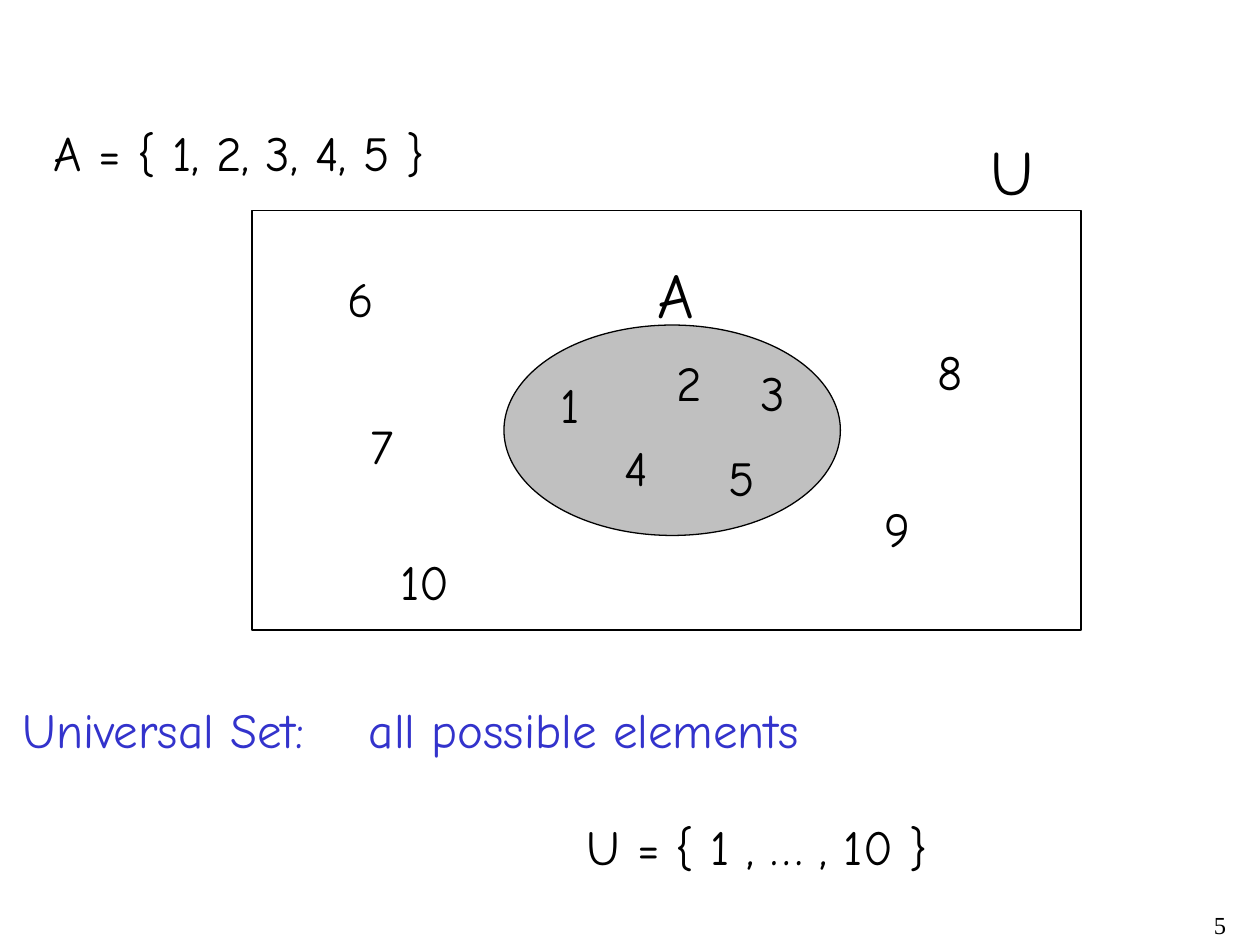
from lxml import etree
from pptx import Presentation
from pptx.dml.color import RGBColor
from pptx.enum.shapes import MSO_SHAPE
from pptx.enum.text import PP_ALIGN
from pptx.oxml.ns import qn
from pptx.util import Inches, Pt

RECT, OVAL = MSO_SHAPE.RECTANGLE, MSO_SHAPE.OVAL
LEFT, RIGHT = PP_ALIGN.LEFT, PP_ALIGN.RIGHT
BLACK = RGBColor(0x00, 0x00, 0x00)
BLUE = RGBColor(0x33, 0x33, 0xCC)
GRAY = RGBColor(0xC0, 0xC0, 0xC0)
FONT, NUMBER_FONT = "Comic Neue", "Times New Roman"

# Elements of the diagram: text, left, top, width
MEMBERS = [
    ("1", 4.35, 2.92, 0.35),
    ("2", 5.27, 2.75, 0.40),
    ("3", 5.94, 2.83, 0.39),
    ("4", 4.86, 3.42, 0.39),
    ("5", 5.68, 3.50, 0.41),
]
OUTSIDERS = [
    ("6", 2.66, 2.08, 0.41),
    ("7", 2.84, 3.25, 0.38),
    ("8", 7.34, 2.66, 0.40),
    ("9", 6.92, 3.91, 0.40),
    ("10", 3.08, 4.33, 0.59),
]
SET_NAMES = [("A", 5.12, 1.98, 0.49), ("U", 7.76, 1.00, 0.54)]


def format_paragraph(p, size=28, color=BLACK, font=FONT, align=LEFT):
    p.alignment = align
    for r in p.runs:
        r.font.name = font
        r.font.size = Pt(size)
        r.font.color.rgb = color


def add_text(s, text, left, top, width, height=0.57, wrap=True, **style):
    box = s.shapes.add_textbox(Inches(left), Inches(top), Inches(width), Inches(height))
    tf = box.text_frame
    tf.word_wrap = wrap
    tf.text = text
    format_paragraph(tf.paragraphs[0], **style)
    return tf


def add_labels(s, labels, height=0.57, size=28):
    for text, left, top, width in labels:
        add_text(s, text, left, top, width, height, wrap=False, size=size)


def add_outline(s, kind, left, top, width, height, fill=None):
    sp = s.shapes.add_shape(kind, Inches(left), Inches(top), Inches(width), Inches(height))
    sp.shadow.inherit = False
    sp.line.color.rgb = BLACK
    sp.line.width = Pt(0.75)
    if fill is None:
        sp.fill.background()
    else:
        sp.fill.solid()
        sp.fill.fore_color.rgb = fill


def add_tab_stop(p, position):
    tabs = etree.SubElement(p._p.get_or_add_pPr(), qn("a:tabLst"))
    etree.SubElement(tabs, qn("a:tab"), pos=str(Inches(position)), algn="l")


def add_definition(s):
    tf = add_text(s, "Universal Set:\tall possible elements", 0.08, 5.5, 7.4, 1.5, color=BLUE)
    add_tab_stop(tf.paragraphs[0], 2.75)
    p = tf.add_paragraph()
    p.text = "U = { 1 , … , 10 }"
    format_paragraph(p)
    p.space_before = Pt(33.6)
    p._p.get_or_add_pPr().set("marL", str(Inches(4.48)))


def main():
    prs = Presentation()
    prs.slide_width, prs.slide_height = Inches(10), Inches(7.5)
    s = prs.slides.add_slide(prs.slide_layouts[6])

    # Slide number and set definitions
    add_text(s, "5", 7.75, 7.17, 2.08, 0.33, size=14, font=NUMBER_FONT, align=RIGHT)
    add_text(s, "A = { 1, 2, 3, 4, 5 }", 0.33, 0.92, 9)
    add_definition(s)

    # Set A and its members
    add_outline(s, OVAL, 4, 2.58, 2.67, 1.67, GRAY)
    add_labels(s, MEMBERS)

    # Universal set around it
    add_outline(s, RECT, 2, 1.67, 6.58, 3.33)
    add_labels(s, SET_NAMES, height=0.7, size=36)
    add_labels(s, OUTSIDERS)

    prs.save("out.pptx")


if __name__ == "__main__":
    main()
